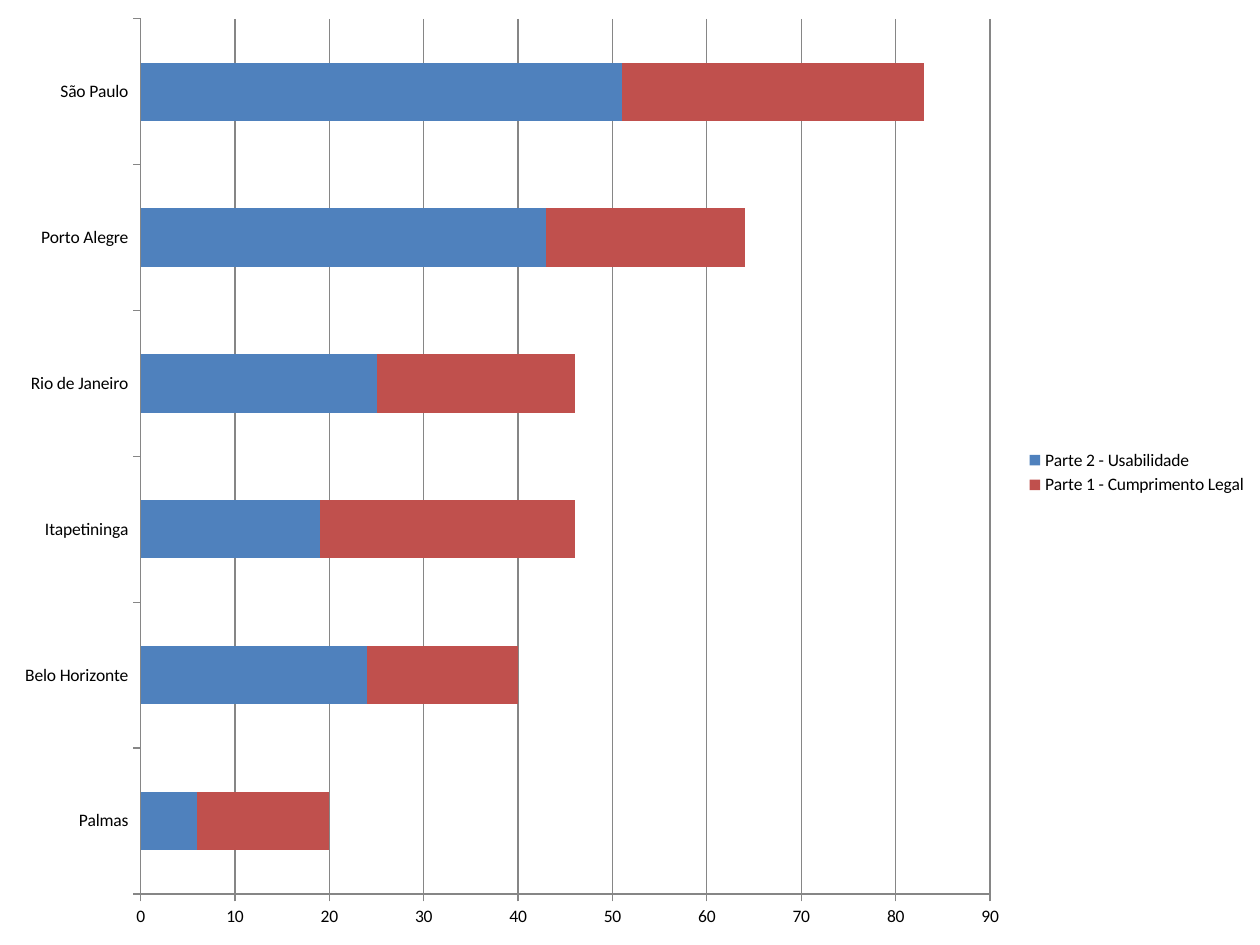
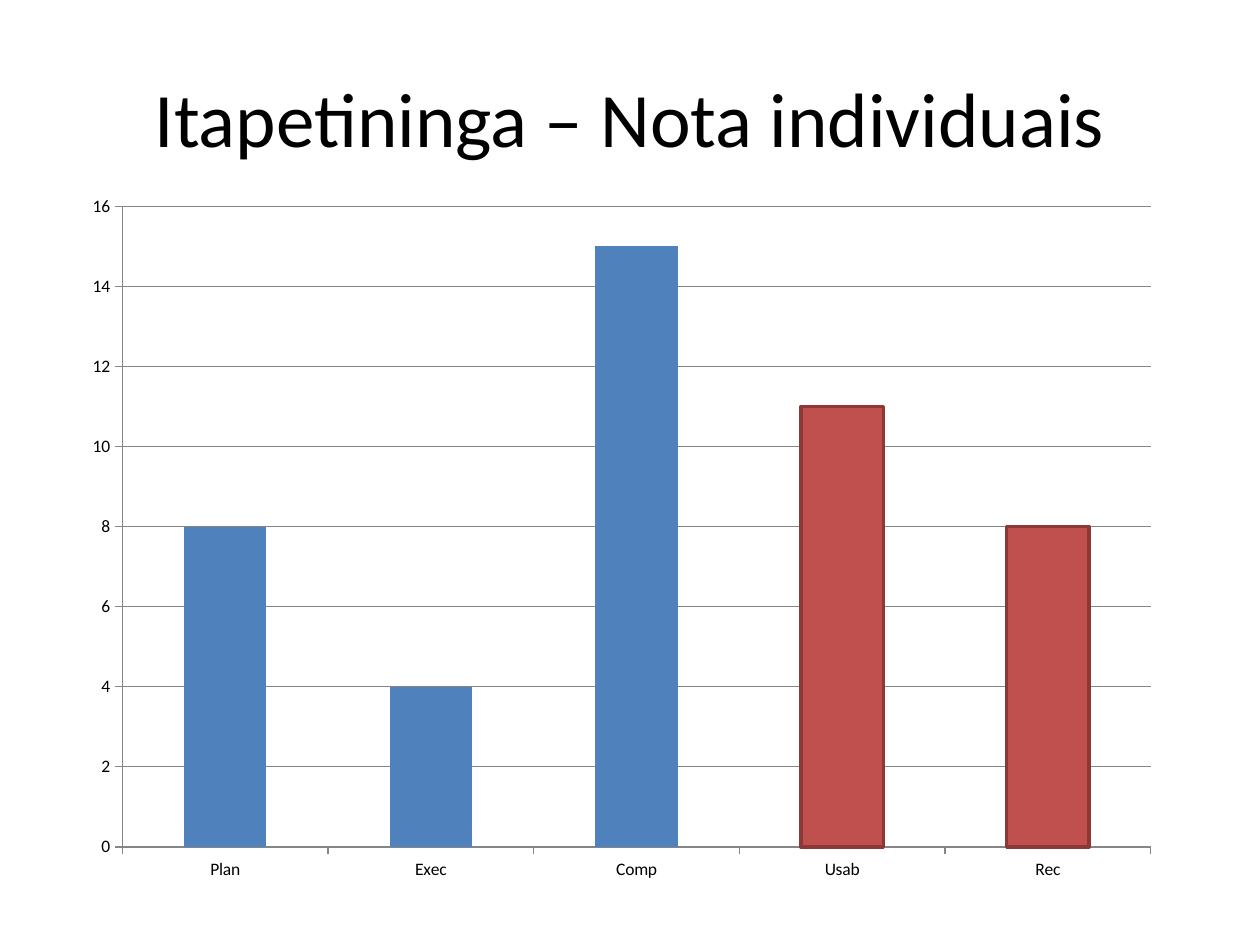
from pptx import Presentation
from pptx.chart.data import CategoryChartData
from pptx.dml.color import RGBColor
from pptx.enum.chart import XL_CHART_TYPE, XL_LEGEND_POSITION, XL_TICK_MARK
from pptx.enum.text import MSO_ANCHOR, PP_ALIGN
from pptx.oxml import parse_xml
from pptx.oxml.ns import nsdecls, qn
from pptx.util import Cm, Pt

FONT = "Calibri"
COLORS = {
    "text": "000000",
    "blue": "4F81BD",
    "red": "C0504D",
    "dark_red": "8C3836",
    "grid": "868686",
}
RGB = {name: RGBColor.from_string(value) for name, value in COLORS.items()}


def add_bar_chart(s, kind, box, cats, series, axis_max, step):
    """Add a bar chart; series is a list of (name, values, colour) tuples."""
    data = CategoryChartData()
    data.categories = cats
    for name, values, _ in series:
        data.add_series(name, values)
    chart = s.shapes.add_chart(kind, *[Cm(v) for v in box], data).chart
    chart.has_title = False
    chart.has_legend = False
    chart.font.name = FONT
    chart.font.size = Pt(10)
    chart.font.color.rgb = RGB["text"]

    plot = chart.plots[0]
    plot.vary_by_categories = False
    plot.gap_width = 150
    for ser, (_, _, color) in zip(plot.series, series):
        ser.invert_if_negative = False
        ser.format.fill.solid()
        ser.format.fill.fore_color.rgb = RGB[color]

    value_axis = chart.value_axis
    value_axis.minimum_scale = 0
    value_axis.maximum_scale = axis_max
    value_axis.major_unit = step
    value_axis.has_major_gridlines = True
    for axis in (chart.category_axis, value_axis):
        axis.major_tick_mark = XL_TICK_MARK.OUTSIDE
        axis.format.line.color.rgb = RGB["grid"]
    value_axis.major_gridlines.format.line.color.rgb = RGB["grid"]
    return chart


prs = Presentation()
prs.slide_width = Cm(25.4)
prs.slide_height = Cm(19.05)

# Slide 1: scores of all cities
s = prs.slides.add_slide(prs.slide_layouts[6])
chart = add_bar_chart(
    s, XL_CHART_TYPE.BAR_STACKED, (0, 0, 25.4, 19.05),
    ["Palmas", "Belo Horizonte", "Itapetininga", "Rio de Janeiro",
     "Porto Alegre", "São Paulo"],
    [("Parte 2 - Usabilidade", (6, 24, 19, 25, 43, 51), "blue"),
     ("Parte 1 - Cumprimento Legal", (14, 16, 27, 21, 21, 32), "red")],
    axis_max=90, step=10)
chart.plots[0].overlap = 100
chart.has_legend = True
chart.legend.position = XL_LEGEND_POSITION.RIGHT
chart.legend.include_in_layout = False

# Slide 2: individual scores of one city
s = prs.slides.add_slide(prs.slide_layouts[5])
title = s.shapes.title
title.left, title.top, title.width, title.height = (
    Cm(v) for v in (1.27, 0.76, 22.86, 3.18))
tf = title.text_frame
tf.text = "Itapetininga – Nota individuais"
tf.vertical_anchor = MSO_ANCHOR.MIDDLE
p = tf.paragraphs[0]
p.alignment = PP_ALIGN.CENTER
p.font.name = FONT
p.font.size = Pt(44)
p.font.color.rgb = RGB["text"]

chart = add_bar_chart(
    s, XL_CHART_TYPE.COLUMN_CLUSTERED, (1.19, 3.96, 22.02, 14.1),
    ["Plan", "Exec", "Comp", "Usab", "Rec"],
    [("Series 1", (8, 4, 15, 11, 8), "blue")],
    axis_max=16, step=2)
for usability_index in (3, 4):
    fmt = chart.plots[0].series[0].points[usability_index].format
    fmt.fill.solid()
    fmt.fill.fore_color.rgb = RGB["red"]
    fmt.line.color.rgb = RGB["dark_red"]
    fmt.line.width = Pt(2)

plot_area = chart._chartSpace.find(".//" + qn("c:plotArea"))
for layout in plot_area.findall(qn("c:layout")):
    plot_area.remove(layout)
plot_area.insert(0, parse_xml(
    f'<c:layout {nsdecls("c")}><c:manualLayout><c:layoutTarget val="inner"/>'
    '<c:xMode val="edge"/><c:yMode val="edge"/><c:x val="0.058"/>'
    '<c:y val="0.011"/><c:w val="0.942"/><c:h val="0.919"/>'
    '</c:manualLayout></c:layout>'))

prs.save("out.pptx")
